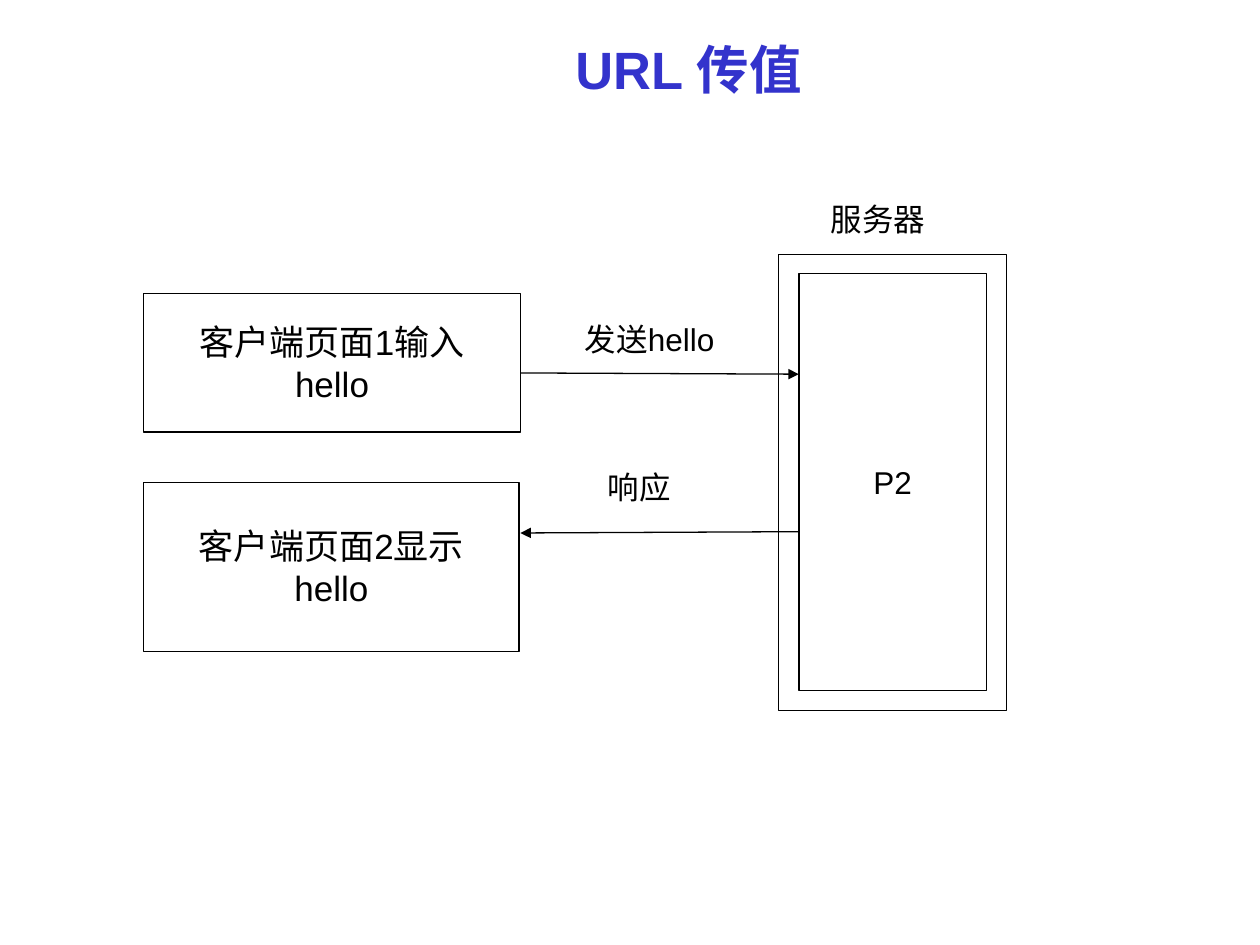
from dataclasses import dataclass

from lxml import etree
from pptx import Presentation
from pptx import util as u
from pptx.dml.color import RGBColor
from pptx.enum import shapes, text
from pptx.oxml import ns

COLUMNS, ROWS = 100, 75
CELL = u.Inches(0.1)


@dataclass(frozen=True)
class Theme:
    font: str = "Arial"
    ink: RGBColor = RGBColor(0, 0, 0)
    paper: RGBColor = RGBColor(255, 255, 255)
    accent: RGBColor = RGBColor(0x33, 0x33, 0xCC)
    title_size: int = 30
    page_size: int = 20
    label_size: int = 18
    line_width: float = 0.75


THEME = Theme()


def grid(*cells):
    """Turn grid columns and rows into lengths."""
    return [round(cell * CELL) for cell in cells]


def write(shape, words, size, color=THEME.ink, bold=False, wrap=False):
    frame = shape.text_frame
    frame.text = words
    frame.word_wrap = wrap
    frame.vertical_anchor = text.MSO_ANCHOR.MIDDLE
    for paragraph in frame.paragraphs:
        paragraph.alignment = text.PP_ALIGN.CENTER
        for span in paragraph.runs:
            span.font.name = THEME.font
            span.font.size = u.Pt(size)
            span.font.bold = bold
            span.font.color.rgb = color


def add_label(page, area, words, size=THEME.label_size, **style):
    write(page.shapes.add_textbox(*grid(*area)), words, size, **style)


def add_box(page, area, words="", size=THEME.label_size):
    box = page.shapes.add_shape(shapes.MSO_SHAPE.RECTANGLE, *grid(*area))
    box.shadow.inherit = False
    box.fill.solid()
    box.fill.fore_color.rgb = THEME.paper
    box.line.color.rgb = THEME.ink
    box.line.width = u.Pt(THEME.line_width)
    if words:
        write(box, words, size)


def add_arrow(page, start, end):
    arrow = page.shapes.add_connector(
        shapes.MSO_CONNECTOR.STRAIGHT, *grid(*start, *end))
    arrow.line.color.rgb = THEME.ink
    arrow.line.width = u.Pt(THEME.line_width)
    properties = arrow.line._get_or_add_ln()
    etree.SubElement(properties, ns.qn("a:tailEnd"), type="triangle")
    etree.SubElement(arrow._element.spPr, ns.qn("a:effectLst"))


def main():
    deck = Presentation()
    deck.slide_width, deck.slide_height = grid(COLUMNS, ROWS)
    page = deck.slides.add_slide(deck.slide_layouts[6])

    add_label(page, (9.5, 0.2, 90.3, 10.5), "URL 传值", THEME.title_size,
              color=THEME.accent, bold=True, wrap=True)

    client_left, client_right, server_left = 11.4, 41.3, 63.4
    add_box(page, (client_left, 23.3, 29.9, 11),
            "客户端页面1输入\nhello", THEME.page_size)
    add_box(page, (client_left, 38.3, 29.8, 13.4),
            "客户端页面2显示\nhello", THEME.page_size)
    add_box(page, (61.8, 20.2, 18.1, 36.2))
    add_box(page, (server_left, 21.7, 14.9, 33.1), "P2")

    add_arrow(page, (client_right, 29.6), (server_left, 29.7))
    add_arrow(page, (server_left, 42.2), (client_right, 42.3))

    add_label(page, (42.1, 24.9, 18.9, 4), "发送hello")
    add_label(page, (42.9, 36.7, 15.7, 3.9), "响应")
    add_label(page, (64.2, 15.4, 11, 3.9), "服务器")

    deck.save("out.pptx")


if __name__ == "__main__":
    main()
